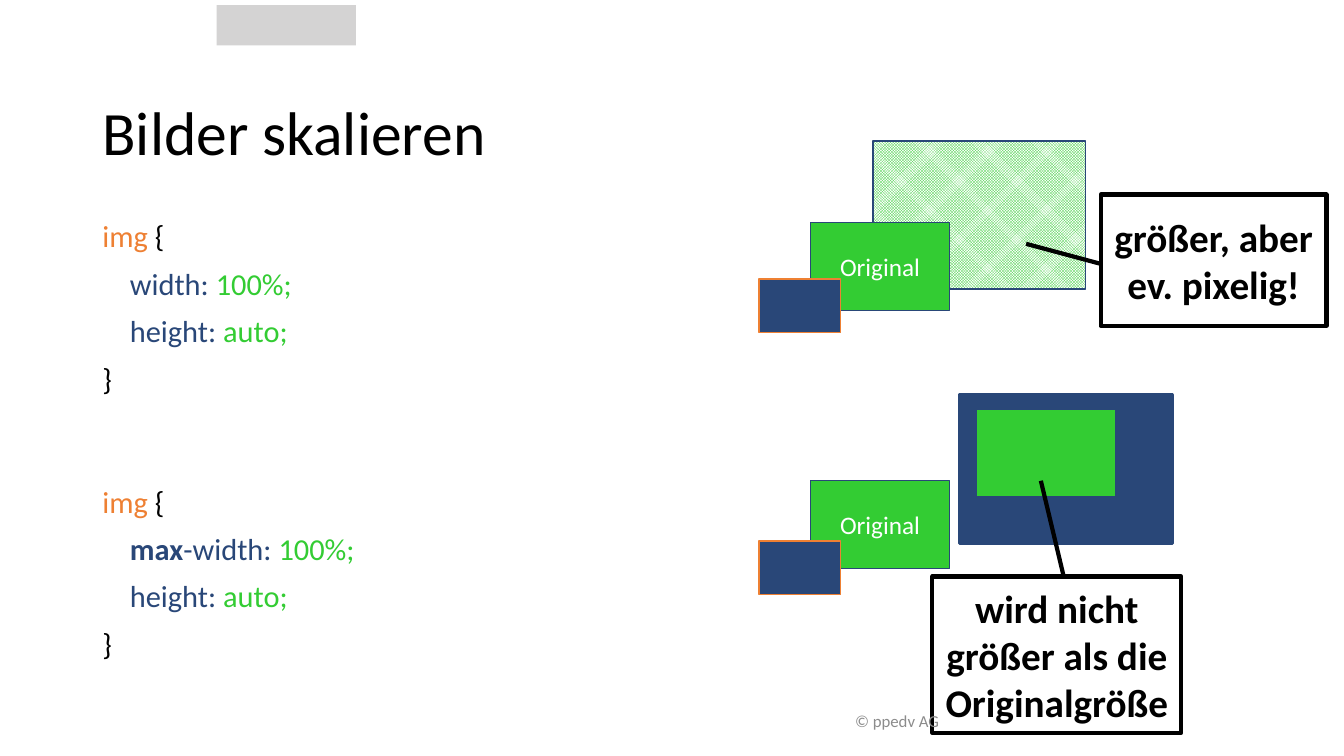
from dataclasses import dataclass

from pptx import Presentation
from pptx.dml.color import RGBColor
from pptx.enum.dml import MSO_PATTERN
from pptx.enum.shapes import MSO_SHAPE
from pptx.enum.text import MSO_ANCHOR, MSO_AUTO_SIZE, PP_ALIGN
from pptx.oxml.xmlchemy import OxmlElement
from pptx.util import Pt


@dataclass(frozen=True)
class Theme:
    font: str = "Calibri"
    black: str = "000000"
    white: str = "FFFFFF"
    blue: str = "294778"
    green: str = "33CC33"
    orange: str = "EE8033"
    bar: str = "D4D3D3"
    footer: str = "8C8C8C"
    title_size: float = 44
    callout_size: float = 28
    code_size: float = 21.7
    label_size: float = 18
    footer_size: float = 12


THEME = Theme()
ORIGINAL_SIZE = (99.4, 62.6)
LARGE_SIZE = (151.9, 105.8)
SMALL_SIZE = (58.3, 38.2)


def color(value):
    return RGBColor.from_string(value)


def add_run(paragraph, text, size, text_color, bold=False):
    run = paragraph.add_run()
    run.text = text
    run.font.name = THEME.font
    run.font.size = Pt(size)
    run.font.color.rgb = color(text_color)
    run.font.bold = bold


def place(shape, box):
    shape.left, shape.top, shape.width, shape.height = (Pt(length) for length in box)


def add_box(slide, box, fill=None, line=None, line_width=1, kind=MSO_SHAPE.RECTANGLE):
    shape = slide.shapes.add_shape(kind, *(Pt(length) for length in box))
    shape.shadow.inherit = False
    if fill:
        shape.fill.solid()
        shape.fill.fore_color.rgb = color(fill)
    else:
        shape.fill.background()
    if line:
        shape.line.color.rgb = color(line)
        shape.line.width = Pt(line_width)
    else:
        shape.line.fill.background()
    return shape


def add_label(shape, text, size, text_color, bold=False):
    frame = shape.text_frame
    frame.word_wrap = True
    frame.vertical_anchor = MSO_ANCHOR.MIDDLE
    paragraph = frame.paragraphs[0]
    paragraph.alignment = PP_ALIGN.CENTER
    add_run(paragraph, text, size, text_color, bold)


def add_title(slide, box, text):
    title = slide.shapes.title
    place(title, box)
    frame = title.text_frame
    frame.auto_size = MSO_AUTO_SIZE.NONE
    frame.vertical_anchor = MSO_ANCHOR.MIDDLE
    frame.margin_top = Pt(28)
    paragraph = frame.paragraphs[0]
    paragraph.alignment = PP_ALIGN.LEFT
    paragraph.line_spacing = 0.9
    add_run(paragraph, text, THEME.title_size, THEME.black)


def css_rule(width_property):
    return [
        (0, [("img", THEME.orange, False), (" {", THEME.black, False)]),
        (19.6, width_property + [("100%;", THEME.green, False)]),
        (19.6, [("height: ", THEME.blue, False), ("auto;", THEME.green, False)]),
        (0, [("}", THEME.black, False)]),
    ]


def add_code(slide, box, rules):
    body = slide.placeholders[1]
    place(body, box)
    frame = body.text_frame
    frame.auto_size = MSO_AUTO_SIZE.NONE
    for rule_index, rule in enumerate(rules):
        for line_index, (indent, parts) in enumerate(rule):
            first = rule_index == line_index == 0
            paragraph = frame.paragraphs[0] if first else frame.add_paragraph()
            paragraph.line_spacing = 1.3
            paragraph.space_before = Pt(54 if rule_index and not line_index else 0)
            properties = paragraph._p.get_or_add_pPr()
            properties.set("marL", str(Pt(indent)))
            properties.set("indent", "0")
            properties.append(OxmlElement("a:buNone"))
            for text, text_color, bold in parts:
                add_run(paragraph, text, THEME.code_size, text_color, bold)


def add_original(slide, left, top):
    shape = add_box(slide, (left, top, *ORIGINAL_SIZE), THEME.green, THEME.blue)
    add_label(shape, "Original", THEME.label_size, THEME.white)


def add_small(slide, left, top):
    add_box(slide, (left, top, *SMALL_SIZE), THEME.blue, THEME.orange)


def add_callout(slide, box, text, adjustments):
    callout = add_box(slide, box, None, THEME.black, 3, MSO_SHAPE.LINE_CALLOUT_1)
    for index, value in enumerate(adjustments):
        callout.adjustments[index] = value
    add_label(callout, text, THEME.callout_size, THEME.black, True)


def add_stretched_scene(slide, left, top):
    enlarged = add_box(slide, (left + 81.3, top, *LARGE_SIZE), THEME.green, THEME.blue)
    enlarged.fill.patterned()
    enlarged.fill.pattern = MSO_PATTERN.SMALL_CHECKER_BOARD
    enlarged.fill.fore_color.rgb = color(THEME.green)
    enlarged.fill.back_color.rgb = color(THEME.white)
    add_original(slide, left + 36.7, top + 58.3)
    add_small(slide, left, top + 98.6)
    add_callout(slide, (left + 244, top + 38.2, 161.3, 93.6),
                "größer, aber ev. pixelig!", (0.526, -0.006, 0.376, -0.33))


def add_limited_scene(slide, left, top):
    add_box(slide, (left + 143.2, top, *LARGE_SIZE), THEME.blue, THEME.blue, 2.25)
    add_original(slide, left + 36.7, top + 61.2)
    add_small(slide, left, top + 104.4)
    add_box(slide, (left + 155.5, top + 10.1, *ORIGINAL_SIZE), THEME.green, THEME.blue)
    add_callout(slide, (left + 123.8, top + 129.6, 177.8, 111.6),
                "wird nicht größer als die Originalgröße", (0.001, 0.528, -0.613, 0.436))


def add_footer(slide, box, text):
    footer = slide.shapes.add_textbox(*(Pt(length) for length in box))
    frame = footer.text_frame
    frame.word_wrap = True
    frame.vertical_anchor = MSO_ANCHOR.MIDDLE
    paragraph = frame.paragraphs[0]
    paragraph.alignment = PP_ALIGN.RIGHT
    add_run(paragraph, text, THEME.footer_size, THEME.footer)


def main():
    presentation = Presentation()
    presentation.slide_width = Pt(960)
    presentation.slide_height = Pt(540)
    slide = presentation.slides.add_slide(presentation.slide_layouts[1])
    add_box(slide, (154.8, 3.6, 99.4, 28.8), THEME.bar)
    add_title(slide, (66, 36, 828, 97.2), "Bilder skalieren")
    add_code(slide, (66, 144, 828, 342.7), [
        css_rule([("width: ", THEME.blue, False)]),
        css_rule([("max", THEME.blue, True), ("-width: ", THEME.blue, False)]),
    ])
    add_stretched_scene(slide, 542.2, 100.8)
    add_limited_scene(slide, 542.2, 282.2)
    add_footer(slide, (66, 500.4, 612, 28.8), "© ppedv AG")
    presentation.save("out.pptx")


if __name__ == "__main__":
    main()
